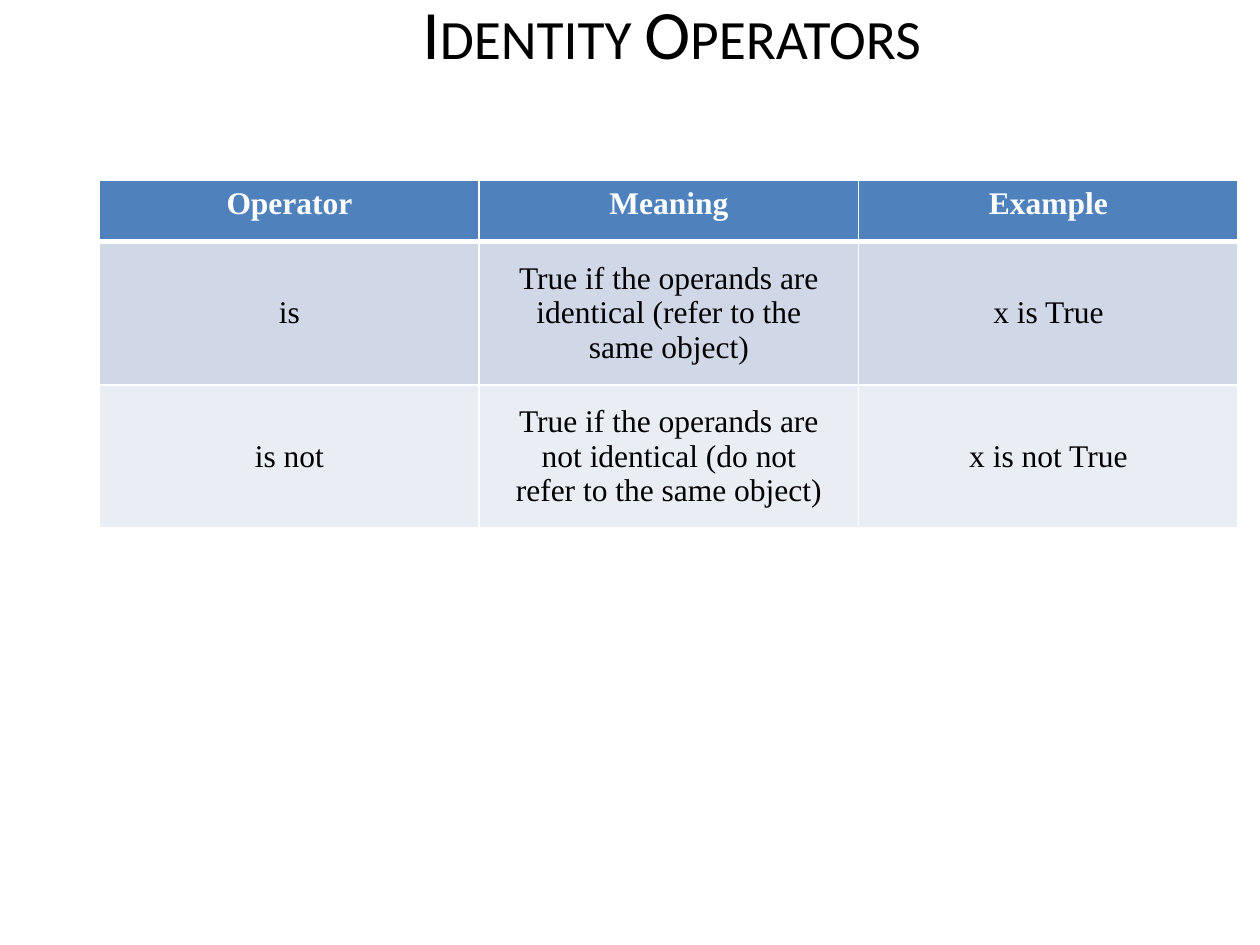
from lxml import etree
from pptx import Presentation
from pptx import util as u
from pptx.dml import color
from pptx.enum import text
from pptx.oxml import ns

WHITE, BLACK = "FFFFFF", "000000"
ROWS = [
    ("Operator", "Meaning", "Example"),
    ("is", "True if the operands are identical (refer to the same object)", "x is True"),
    ("is not", "True if the operands are not identical (do not refer to the same object)",
     "x is not True"),
]
ROW_FILLS = ["4F81BD", "D0D8E8", "E9EDF4"]
ROW_HEIGHTS = [u.Cm(1.24), u.Cm(2.74), u.Cm(2.74)]
BODY_CELL = {
    "vertical_anchor": text.MSO_ANCHOR.MIDDLE,
    "margin_left": u.Cm(0.64), "margin_right": u.Cm(0.64),
    "margin_top": u.Cm(0.3), "margin_bottom": u.Cm(0.3),
}


def rgb(value):
    return color.RGBColor.from_string(value)


def set_all(obj, values):
    for name, value in values.items():
        setattr(obj, name, value)


def write(tf, words, hex_color, **font):
    """Put one centred run in a text frame."""
    p = tf.paragraphs[0]
    p.alignment = text.PP_ALIGN.CENTER
    r = p.add_run()
    r.text = words
    set_all(r.font, font)
    r.font.color.rgb = rgb(hex_color)
    return r


def add_title(s, words):
    sp = s.shapes.add_textbox(u.Cm(2.11), u.Cm(-0.25), u.Cm(22.86), u.Cm(1.8))
    tf = sp.text_frame
    set_all(tf, {"word_wrap": True, "vertical_anchor": text.MSO_ANCHOR.MIDDLE})
    r = write(tf, words, BLACK, name="Calibri", size=u.Pt(39.6))
    r.font._element.set("cap", "small")


def add_borders(cell, widths):
    """Draw white cell borders; must run before the cell gets its fill."""
    tc_pr = cell._tc.get_or_add_tcPr()
    for side, width in widths.items():
        ln = etree.SubElement(tc_pr, ns.qn(f"a:ln{side}"), w=str(u.Pt(width)))
        fill = etree.SubElement(ln, ns.qn("a:solidFill"))
        etree.SubElement(fill, ns.qn("a:srgbClr"), val=WHITE)


def add_operator_table(s):
    table = s.shapes.add_table(len(ROWS), len(ROWS[0]), u.Cm(2.01), u.Cm(3.63),
                               u.Cm(22.95), sum(ROW_HEIGHTS)).table
    for i, (row, fill, height) in enumerate(zip(ROWS, ROW_FILLS, ROW_HEIGHTS)):
        table.rows[i].height = height
        header = i == 0
        for j, words in enumerate(row):
            cell = table.cell(i, j)
            add_borders(cell, {"L": 1, "R": 1, "T": 3 if i == 1 else 1, "B": 3 if header else 1})
            cell.fill.solid()
            cell.fill.fore_color.rgb = rgb(fill)
            if not header:
                set_all(cell, BODY_CELL)
            write(cell.text_frame, words, WHITE if header else BLACK,
                  name="Times New Roman", size=u.Pt(18), bold=header)


def main():
    prs = Presentation()
    set_all(prs, {"slide_width": u.Cm(25.4), "slide_height": u.Cm(19.05)})
    s = prs.slides.add_slide(prs.slide_layouts[6])
    add_title(s, "Identity Operators")
    add_operator_table(s)
    prs.save("out.pptx")


if __name__ == "__main__":
    main()
